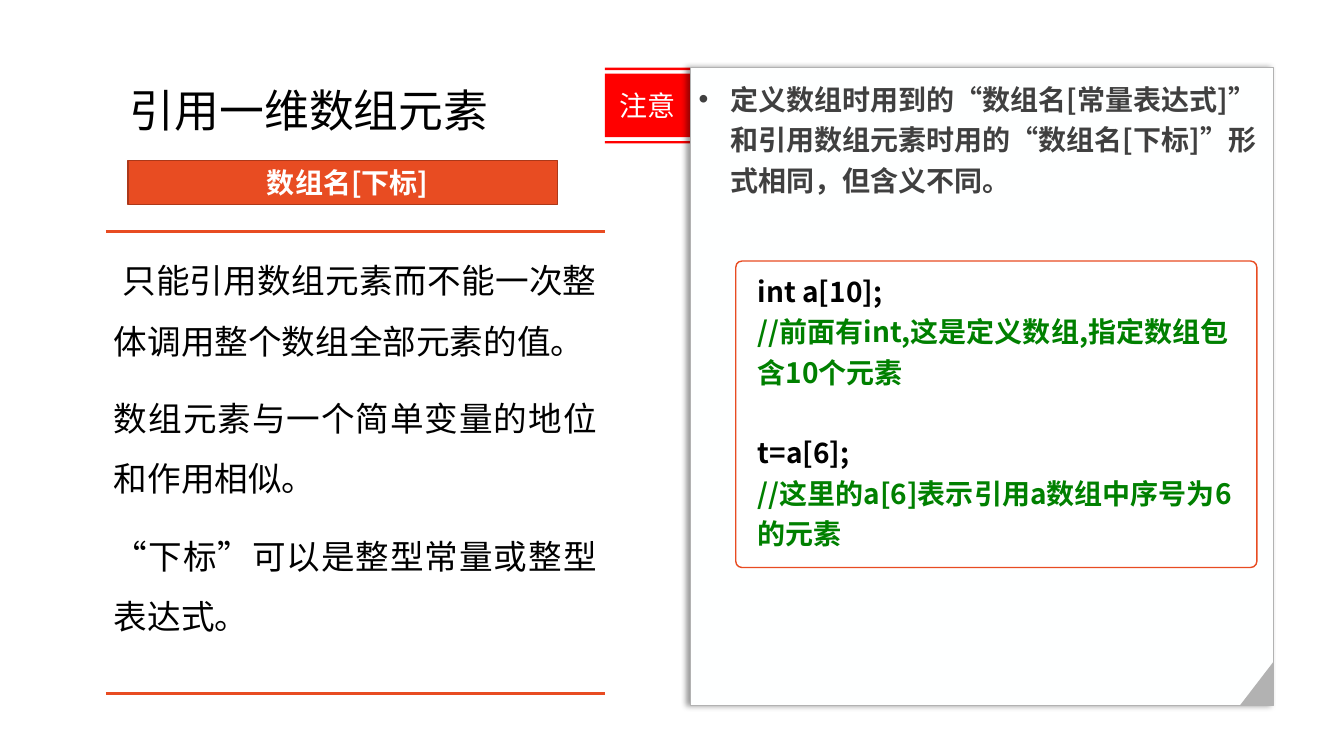
from lxml import etree
from pptx import Presentation
from pptx.dml.color import RGBColor
from pptx.enum import shapes, text
from pptx.oxml import ns
from pptx.util import Pt

FONT = "Noto Sans CJK SC"
ORANGE = "E84C22"
WHITE = "FFFFFF"
PAPER = "FEFFFF"
GRAY = "B2B2B2"
GREEN = "008000"
BLACK = "000000"
CENTER = text.PP_ALIGN.CENTER
LEFT = text.PP_ALIGN.LEFT
JUSTIFY = text.PP_ALIGN.JUSTIFY
MIDDLE = text.MSO_ANCHOR.MIDDLE
TOP = text.MSO_ANCHOR.TOP
WIDE_INSETS = (14.4, 3.6, 7.2, 3.6)
EVEN_INSETS = (5.76, 5.76, 5.76, 5.76)


def color(value):
    return RGBColor.from_string(value)


def add_child(parent, tag, **attributes):
    child = etree.SubElement(parent, ns.qn(tag))
    for name, value in attributes.items():
        child.set(name, str(value))
    return child


def write(paragraph, content, size=20, fill=BLACK, bold=False, align=LEFT,
          line=None, before=0, after=0, bullet_indent=None):
    paragraph.alignment = align
    paragraph.space_before, paragraph.space_after = Pt(before), Pt(after)
    if line:
        paragraph.line_spacing = line
    if bullet_indent:
        properties = paragraph._p.get_or_add_pPr()
        properties.set("marL", str(Pt(bullet_indent)))
        properties.set("indent", str(-Pt(bullet_indent)))
        add_child(properties, "a:buFont", typeface="Arial")
        add_child(properties, "a:buChar", char="•")
    run = paragraph.add_run()
    run.text = content
    run.font.size, run.font.bold, run.font.name = Pt(size), bold, FONT
    run.font.color.rgb = color(fill)
    add_child(run._r.get_or_add_rPr(), "a:ea", typeface=FONT)


class Board:
    def __init__(self, slide):
        self.slide = slide

    def style(self, shape, fill, line=None, weight=1):
        shape.shadow.inherit = False
        shape.fill.solid()
        shape.fill.fore_color.rgb = color(fill)
        if line:
            shape.line.color.rgb = color(line)
            shape.line.width = Pt(weight)
        else:
            shape.line.fill.background()
        return shape

    def box(self, kind, left, top, width, height, fill, line=None, weight=1):
        shape = self.slide.shapes.add_shape(
            kind, Pt(left), Pt(top), Pt(width), Pt(height))
        return self.style(shape, fill, line, weight)

    def text_box(self, left, top, width, height):
        return self.slide.shapes.add_textbox(
            Pt(left), Pt(top), Pt(width), Pt(height))

    def fill_text(self, shape, paragraphs, anchor=TOP,
                  insets=(7.2, 3.6, 7.2, 3.6)):
        frame = shape.text_frame
        frame.word_wrap = True
        frame.vertical_anchor = anchor
        (frame.margin_left, frame.margin_top,
         frame.margin_right, frame.margin_bottom) = map(Pt, insets)
        for index, (content, options) in enumerate(paragraphs):
            paragraph = frame.add_paragraph() if index else frame.paragraphs[0]
            write(paragraph, content, **options)

    def rule(self, left, right, y):
        connector = self.slide.shapes.add_connector(
            shapes.MSO_CONNECTOR.STRAIGHT, Pt(left), Pt(y), Pt(right), Pt(y))
        connector.line.color.rgb = color(ORANGE)
        connector.line.width = Pt(2)
        add_child(connector._element.spPr, "a:effectLst")

    def bands(self, left, right, spans, fill):
        outline = None
        for top, bottom in spans:
            if outline is None:
                outline = self.slide.shapes.build_freeform(Pt(left), Pt(top))
            else:
                outline.move_to(Pt(left), Pt(top))
            corners = [(right, top), (right, bottom), (left, bottom)]
            outline.add_line_segments(
                [(Pt(x), Pt(y)) for x, y in corners], close=True)
        return self.style(outline.convert_to_shape(), fill)

    def cast_shadow(self, shape):
        effects = shape._element.spPr.find(ns.qn("a:effectLst"))
        shadow = add_child(effects, "a:outerShdw", blurRad=Pt(4), dist=Pt(3),
                           dir=180 * 60000, algn="r", rotWithShape=0)
        tone = add_child(shadow, "a:srgbClr", val=BLACK)
        add_child(tone, "a:alpha", val=40000)


def main():
    presentation = Presentation()
    presentation.slide_width, presentation.slide_height = Pt(960), Pt(540)
    board = Board(presentation.slides.add_slide(presentation.slide_layouts[6]))
    preset = shapes.MSO_SHAPE

    title = board.text_box(85.7, 28.8, 466.5, 104.4)
    board.fill_text(title, [("引用一维数组元素", dict(size=32, line=0.9))], MIDDLE)

    syntax = board.box(preset.RECTANGLE, 91.4, 114.5, 306.7, 31.7, ORANGE, "AC3819")
    board.fill_text(
        syntax, [("数组名[下标]", dict(fill=WHITE, bold=True, align=CENTER))],
        MIDDLE, WIDE_INSETS)

    for y in (165.6, 495.4):
        board.rule(75.6, 432, y)
    rules = board.text_box(75.6, 165.6, 356.4, 329.8)
    body = dict(size=24, align=JUSTIFY, line=Pt(43.2), before=6, after=6)
    board.fill_text(rules, [(content, body) for content in (
        " 只能引用数组元素而不能一次整体调用整个数组全部元素的值。",
        "数组元素与一个简单变量的地位和作用相似。",
        "“下标”可以是整型常量或整型表达式。")], insets=EVEN_INSETS)

    flag = board.bands(
        432, 493.2, [(100.8, 102.4), (52.6, 97.9), (48.4, 50.2)], "FF0000")
    board.fill_text(flag, [("注意", dict(fill=PAPER, align=CENTER))], MIDDLE)

    note = board.box(preset.RECTANGLE, 493.2, 48.4, 416.2, 455.6, PAPER, GRAY, 0.75)
    board.cast_shadow(note)
    board.fill_text(note, [(
        "定义数组时用到的“数组名[常量表达式]” 和引用数组元素时用的“数组名[下标]”形式相同，但含义不同。",
        dict(fill="404040", bold=True, line=Pt(28.8), after=6, bullet_indent=22.5),
    )], insets=EVEN_INSETS)

    fold = board.box(preset.RIGHT_TRIANGLE, 882, 476.6, 31, 23.8, GRAY)
    fold.rotation = 270

    code = board.box(preset.ROUNDED_RECTANGLE, 525.6, 186.5, 372.2, 218.9, WHITE, ORANGE)
    code.adjustments[0] = 0.02
    statement = dict(bold=True, line=Pt(28.8))
    remark = dict(statement, fill=GREEN)
    board.fill_text(code, [
        ("int a[10];", statement),
        ("//前面有int,这是定义数组,指定数组包含10个元素", remark),
        ("t=a[6];", dict(statement, before=28.8)),
        ("//这里的a[6]表示引用a数组中序号为6的元素", remark),
    ], insets=WIDE_INSETS)

    presentation.save("out.pptx")


if __name__ == "__main__":
    main()
